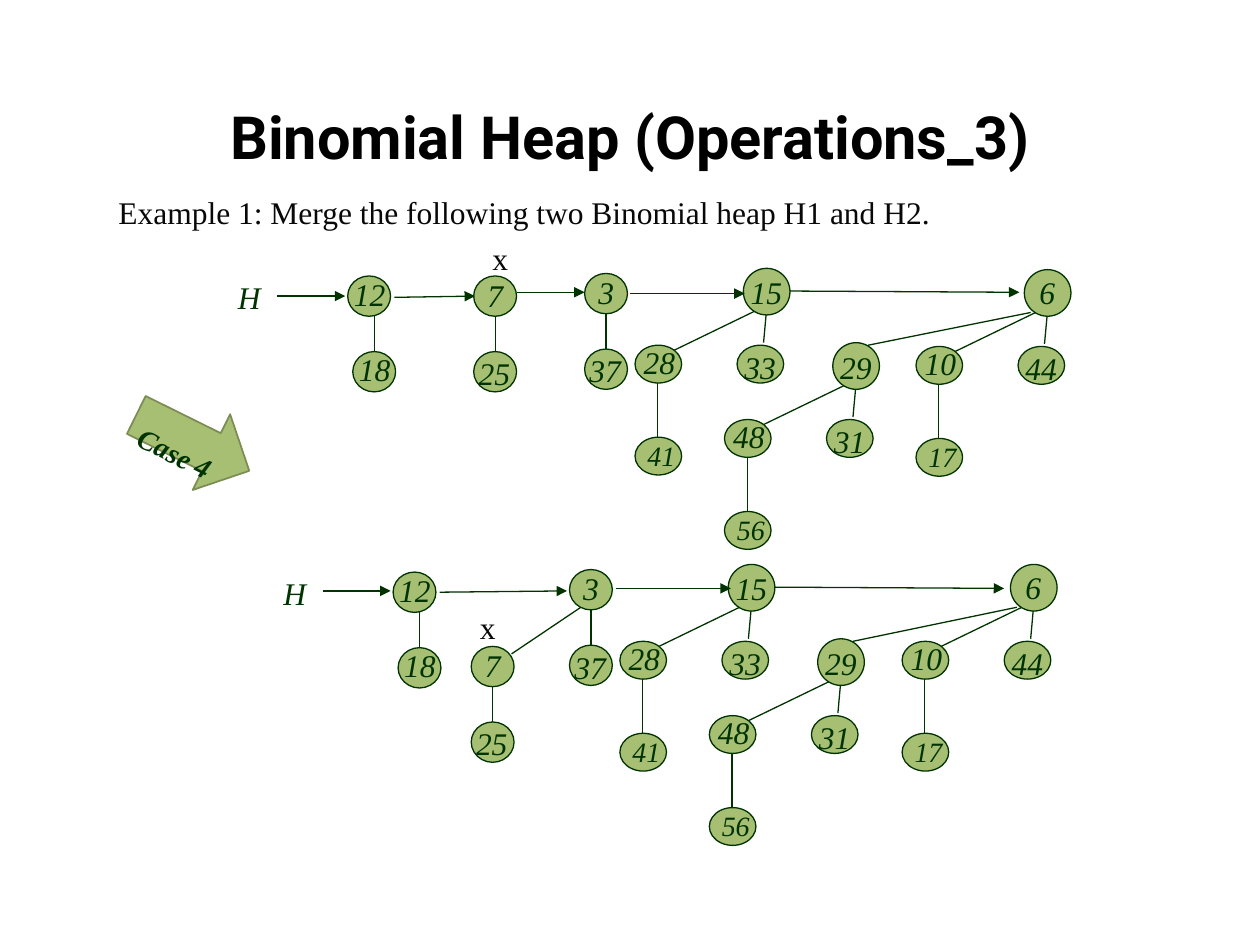
from lxml import etree
from pptx import Presentation
from pptx import util as u
from pptx.dml.color import RGBColor
from pptx.enum import shapes, text
from pptx.oxml.ns import qn

BLACK = RGBColor(0, 0, 0)
INK = RGBColor(0x08, 0x08, 0x08)
DARK = RGBColor(0x00, 0x33, 0x00)
GREEN = RGBColor(0xA6, 0xBF, 0x73)
EDGE = RGBColor(0x7B, 0x8D, 0x55)
SERIF = "Times New Roman"

# Node styles: oval width, height; label offset x, y; label width, size
STYLES = {
    "digit": (0.34, 0.32, 0.01, -0.05, 0.42, 18),
    "pair": (0.34, 0.32, -0.06, -0.03, 0.47, 18),
    "first": (0.34, 0.32, -0.05, -0.06, 0.55, 18),
    "left": (0.37, 0.30, -0.03, -0.07, 0.47, 18),
    "right": (0.37, 0.30, -0.04, -0.03, 0.49, 18),
    "leaf": (0.37, 0.30, 0, -0.04, 0.59, 16),
    "big": (0.37, 0.37, -0.04, -0.01, 0.47, 18),
    "last": (0.37, 0.37, 0.02, -0.02, 0.47, 18),
}

# Four-node trees: child offsets and edges, measured from the root
KIDS = [("left", -0.86, 0.61), ("right", -0.05, 0.61), ("leaf", -0.86, 1.34)]
EDGES = [(0.18, 0.37, 0.16, 0.59), (0.09, 0.34, -0.55, 0.65),
         (-0.68, 0.90, -0.68, 1.34)]

# Two-node trees: labels, styles, root x, y, child shift
# Four-node trees: labels, root style, root x, y
HEAPS = [
    {
        "twos": [(("12", "18"), ("first", "first"), 2.76, 2.19, 0.04),
                 (("7", "25"), ("digit", "pair"), 3.76, 2.19, 0),
                 (("3", "37"), ("digit", "pair"), 4.64, 2.17, 0)],
        "fours": [(("15", "28", "33", "41"), "big", 5.90, 2.13),
                  (("6", "10", "44", "17"), "last", 8.13, 2.14),
                  (("29", "48", "31", "56"), "big", 6.61, 2.72)],
        "links": [(6.89, 2.74, 8.18, 2.48)],
        "arrows": [(2.20, 2.35, 2.74, 2.35), (3.13, 2.36, 3.77, 2.35),
                   (4.10, 2.32, 4.64, 2.32), (5.00, 2.33, 5.91, 2.33),
                   (6.27, 2.31, 8.09, 2.32)],
        "head": (1.79, 2.16),
        "mark": (3.81, 1.88),
    },
    {
        "twos": [(("12", "18"), ("first", "first"), 3.12, 4.54, 0.04),
                 (("7", "25"), ("digit", "pair"), 3.74, 5.13, 0),
                 (("3", "37"), ("digit", "pair"), 4.52, 4.52, 0)],
        "fours": [(("15", "28", "33", "41"), "big", 5.78, 4.48),
                  (("6", "10", "44", "17"), "last", 8.02, 4.48),
                  (("29", "48", "31", "56"), "big", 6.49, 5.07)],
        "links": [(6.77, 5.09, 8.07, 4.82), (4.06, 5.19, 4.61, 4.82)],
        "arrows": [(2.56, 4.69, 3.10, 4.69), (3.49, 4.70, 4.50, 4.69),
                   (4.89, 4.67, 5.80, 4.67), (6.15, 4.66, 7.97, 4.67)],
        "head": (2.15, 4.51),
        "mark": (3.71, 4.81),
    },
]

deck = Presentation()
deck.slide_width, deck.slide_height = u.Inches(10), u.Inches(7.5)
slide = deck.slides.add_slide(deck.slide_layouts[1])


def inches(*vals):
    return [u.Inches(v) for v in vals]


def style(para, size, color, face=SERIF, bold=False, italic=False):
    font = para.font
    font.name, font.size = face, u.Pt(size)
    font.bold, font.italic = bold, italic
    font.color.rgb = color


def fill(hold, box, words, anchor):
    hold.left, hold.top, hold.width, hold.height = inches(*box)
    frame = hold.text_frame
    frame.text = words
    frame.auto_size = text.MSO_AUTO_SIZE.NONE
    frame.vertical_anchor = anchor
    return frame.paragraphs[0]


def label(words, x, y, wide, size=18, color=DARK, italic=True, bold=False, high=0.4):
    box = slide.shapes.add_textbox(*inches(x, y, wide, high))
    box.text_frame.word_wrap = True
    para = box.text_frame.paragraphs[0]
    para.text = words
    style(para, size, color, bold=bold, italic=italic)
    return box


def solid(kind, box, edge, width):
    shape = slide.shapes.add_shape(kind, *inches(*box))
    shape.shadow.inherit = False
    shape.fill.solid()
    shape.fill.fore_color.rgb = GREEN
    shape.line.color.rgb = edge
    shape.line.width = u.Pt(width)
    return shape


def line(ends, arrow=False):
    link = slide.shapes.add_connector(shapes.MSO_CONNECTOR.STRAIGHT, *inches(*ends))
    link.line.color.rgb = DARK
    link.line.width = u.Pt(0.75)
    if arrow:
        etree.SubElement(link.line._get_or_add_ln(), qn("a:tailEnd"), type="triangle")
    etree.SubElement(link._element.spPr, qn("a:effectLst"))


def node(words, kind, x, y):
    wide, high, dx, dy, room, size = STYLES[kind]
    solid(shapes.MSO_SHAPE.OVAL, (x, y, wide, high), DARK, 0.75)
    label(words, x + dx, y + dy, room, size)


def two(words, kinds, x, y, shift):
    mid = x + 0.17 + shift
    line((mid, y + 0.32, mid, y + 0.6))
    node(words[0], kinds[0], x, y)
    node(words[1], kinds[1], x + shift, y + 0.6)


def four(words, kind, x, y):
    for x1, y1, x2, y2 in EDGES:
        line((x + x1, y + y1, x + x2, y + y2))
    node(words[0], kind, x, y)
    for word, (kid, dx, dy) in zip(words[1:], KIDS):
        node(word, kid, x + dx, y + dy)


# Title and task
title, body = slide.placeholders
para = fill(title, (0.5, 0.68, 9, 0.79), "Binomial Heap (Operations_3)",
            text.MSO_ANCHOR.MIDDLE)
para.alignment = text.PP_ALIGN.CENTER
style(para, 34, BLACK, "Roboto", bold=True)
para = fill(body, (0.84, 1.48, 7.86, 0.62),
            "Example 1: Merge the following two Binomial heap H1 and H2.",
            text.MSO_ANCHOR.TOP)
para.alignment = text.PP_ALIGN.JUSTIFY
para.space_before = u.Pt(0)
props = para._p.get_or_add_pPr()
props.set("marL", "0")
props.set("indent", "0")
etree.SubElement(props, qn("a:buNone"))
style(para, 18, INK)

# Case arrow
solid(shapes.MSO_SHAPE.RIGHT_ARROW, (1.03, 3.18, 1, 0.67), EDGE, 1).rotation = 26.3
case = label("Case 4", 1.05, 3.32, 1.49, 28, bold=True, high=0.42)
case.rotation = 26.3
run = case.text_frame.paragraphs[0].runs[0]
run._r.get_or_add_rPr().set("baseline", "-25000")

# Heaps before and after the step
for heap in HEAPS:
    for tree in heap["twos"]:
        two(*tree)
    for tree in heap["fours"]:
        four(*tree)
    for ends in heap["links"]:
        line(ends)
    for ends in heap["arrows"]:
        line(ends, arrow=True)
    label("H", *heap["head"], 0.61)
    mark = label("x", *heap["mark"], 0.36, color=INK, italic=False, high=0.37)
    mark.text_frame.paragraphs[0].line_spacing = 0.9

deck.save("out.pptx")
